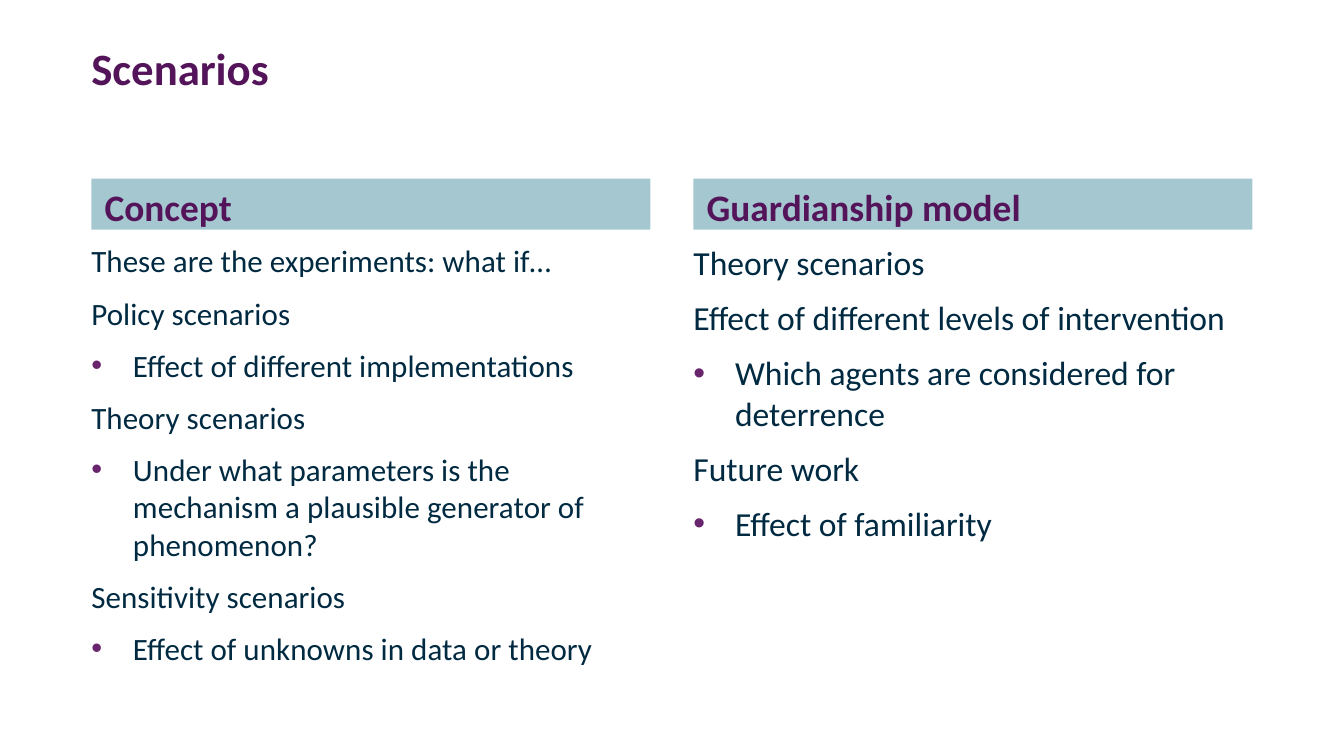
from pptx import Presentation
from pptx.dml.color import RGBColor
from pptx.enum.shapes import MSO_SHAPE
from pptx.enum.text import MSO_ANCHOR, PP_ALIGN
from pptx.oxml.ns import qn
from pptx.util import Inches, Pt
from lxml import etree

PURPLE = RGBColor(0x54, 0x14, 0x5A)
BULLET_PURPLE = RGBColor(0x68, 0x24, 0x6D)
NAVY = RGBColor(0x00, 0x2A, 0x41)
PALE_TEAL = RGBColor(0xA5, 0xC8, 0xD0)
RECTANGLE = MSO_SHAPE.RECTANGLE
TOP, MIDDLE = MSO_ANCHOR.TOP, MSO_ANCHOR.MIDDLE
LEFT = PP_ALIGN.LEFT

PAGE_WIDTH = 10
PAGE_HEIGHT = PAGE_WIDTH * 9 / 16
MARGIN = 0.68
COLUMN_WIDTH = 4.16
COLUMN_STEP = 4.48
BULLET_INDENT = 0.31

# Each column: heading, text size, list of (is bullet, text)
COLUMNS = [
    ("Concept", 16.65, [
        (False, "These are the experiments: what if…"),
        (False, "Policy scenarios"),
        (True, "Effect of different implementations"),
        (False, "Theory scenarios"),
        (True, "Under what parameters is the mechanism a plausible "
               "generator of phenomenon?"),
        (False, "Sensitivity scenarios"),
        (True, "Effect of unknowns in data or theory"),
    ]),
    ("Guardianship model", 18, [
        (False, "Theory scenarios"),
        (False, "Effect of different levels of intervention"),
        (True, "Which agents are considered for deterrence"),
        (False, "Future work"),
        (True, "Effect of familiarity"),
    ]),
]


class SlideBuilder:
    font_name = "Calibri"

    def __init__(self, page):
        self.page = page

    def style(self, para, size, color, bold=False):
        para.alignment = LEFT
        for span in para.runs:
            span.font.name = self.font_name
            span.font.size = Pt(size)
            span.font.bold = bold
            span.font.color.rgb = color

    def text_box(self, left, top, width, height):
        box = self.page.shapes.add_textbox(
            Inches(left), Inches(top), Inches(width), Inches(height))
        frame = box.text_frame
        frame.word_wrap = True
        frame.vertical_anchor = TOP
        frame.margin_left = frame.margin_right = 0
        frame.margin_top = frame.margin_bottom = 0
        return frame

    def title(self, text):
        frame = self.text_box(MARGIN, 0.3, 8.64, 0.94)
        frame.text = text
        self.style(frame.paragraphs[0], 24, PURPLE, bold=True)

    def heading(self, text, left):
        bar = self.page.shapes.add_shape(
            RECTANGLE, Inches(left), Inches(1.33),
            Inches(COLUMN_WIDTH), Inches(0.38))
        bar.shadow.inherit = False
        bar.fill.solid()
        bar.fill.fore_color.rgb = PALE_TEAL
        bar.line.fill.background()
        frame = bar.text_frame
        frame.vertical_anchor = MIDDLE
        frame.margin_top, frame.margin_bottom = Inches(0.04), 0
        frame.text = text
        self.style(frame.paragraphs[0], 20, PURPLE, bold=True)

    def add_bullet(self, para):
        props = para._p.get_or_add_pPr()
        props.set("marL", str(Inches(BULLET_INDENT)))
        props.set("indent", str(-Inches(BULLET_INDENT)))
        color = etree.SubElement(props, qn("a:buClr"))
        etree.SubElement(color, qn("a:srgbClr"), val=str(BULLET_PURPLE))
        etree.SubElement(props, qn("a:buFont"), typeface="Arial")
        etree.SubElement(props, qn("a:buChar"), char="•")

    def body(self, items, left, size):
        frame = self.text_box(left, 1.8, COLUMN_WIDTH, 2.73)
        frame.text = "\n".join(text for _, text in items)
        for index, (para, item) in enumerate(zip(frame.paragraphs, items)):
            if item[0]:
                para.level = 1
                self.add_bullet(para)
            if index:
                para.space_before = Pt(8)
            self.style(para, size, NAVY)


def main():
    deck = Presentation()
    deck.slide_width, deck.slide_height = Inches(PAGE_WIDTH), Inches(PAGE_HEIGHT)
    builder = SlideBuilder(deck.slides.add_slide(deck.slide_layouts[6]))

    # Title
    builder.title("Scenarios")

    # Two columns, each with a list and a heading bar
    lefts = [MARGIN + number * COLUMN_STEP for number in range(len(COLUMNS))]
    for left, (_, size, items) in zip(lefts, COLUMNS):
        builder.body(items, left, size)
    for left, (heading, _, _) in zip(lefts, COLUMNS):
        builder.heading(heading, left)

    deck.save("out.pptx")


if __name__ == "__main__":
    main()
